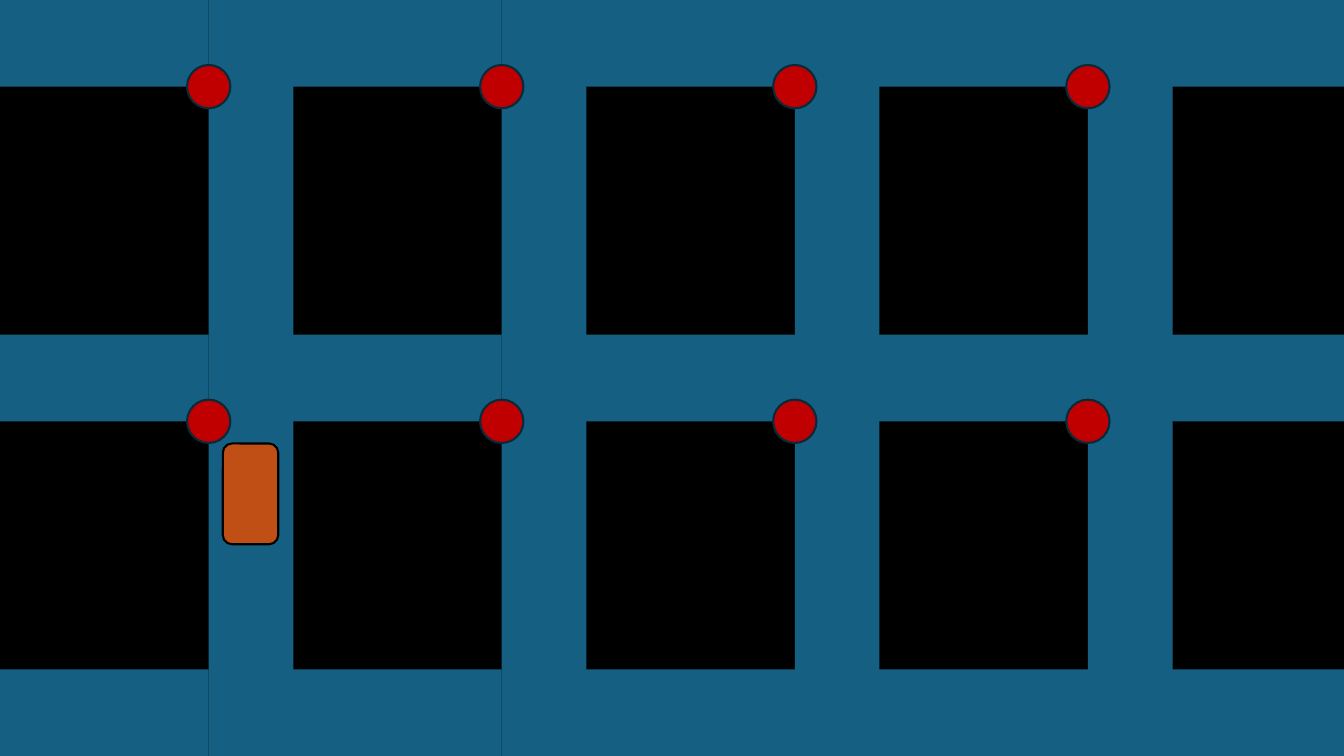
"""Draw a city street grid with red signals at the corners and one orange car."""
from dataclasses import dataclass
from itertools import product

from pptx import Presentation
from pptx.dml.color import RGBColor as Rgb
from pptx.dml.fill import FillFormat as Fill
from pptx.enum.shapes import MSO_SHAPE as Kind
from pptx.slide import Slide
from pptx.util import Inches, Pt

WIDTH, HEIGHT = 13.33, 7.5
BLOCK = 2.07
ROAD = 0.84
PITCH = 8.72 / 3
STREET = 0.86
STEP = 3.32
DOT = 0.43

BLACK = "000000"
BLUE = "156082"
ORANGE = "C04F15"
RED = "C00000"
NAVY = "092A39"


@dataclass(frozen=True)
class Part:
    left: float
    top: float
    width: float
    height: float
    fill: str = BLUE
    kind: Kind = Kind.RECTANGLE
    edge: str = ""


def paint(fill: Fill, color: str) -> None:
    fill.solid()
    fill.fore_color.rgb = Rgb.from_string(color)


def draw(slide: Slide, part: Part) -> None:
    box = map(Inches, (part.left, part.top, part.width, part.height))
    shape = slide.shapes.add_shape(part.kind, *box)
    shape.shadow.inherit = False
    paint(shape.fill, part.fill)
    if part.edge:
        paint(shape.line.fill, part.edge)
        shape.line.width = Pt(1.5)
    else:
        shape.line.fill.background()


def plan() -> list[Part]:
    roads = [Part(BLOCK + col * PITCH, 0, ROAD, HEIGHT) for col in range(4)]
    streets = [
        Part(col * PITCH, row * STEP, min(BLOCK, WIDTH - col * PITCH), STREET)
        for row, col in product(range(3), range(5))
    ]
    car = Part(2.21, 4.4, 0.55, 1, ORANGE, Kind.ROUNDED_RECTANGLE, BLACK)
    lights = [
        Part(road.left - DOT / 2, row * STEP + STREET - DOT / 2,
             DOT, DOT, RED, Kind.OVAL, NAVY)
        for row, road in product(range(2), roads)
    ]
    return [*roads, *streets, car, *lights]


def main() -> None:
    deck = Presentation()
    deck.slide_width, deck.slide_height = Inches(WIDTH), Inches(HEIGHT)
    slide = deck.slides.add_slide(deck.slide_layouts[6])
    paint(slide.background.fill, BLACK)
    for part in plan():
        draw(slide, part)
    deck.save("out.pptx")


if __name__ == "__main__":
    main()
